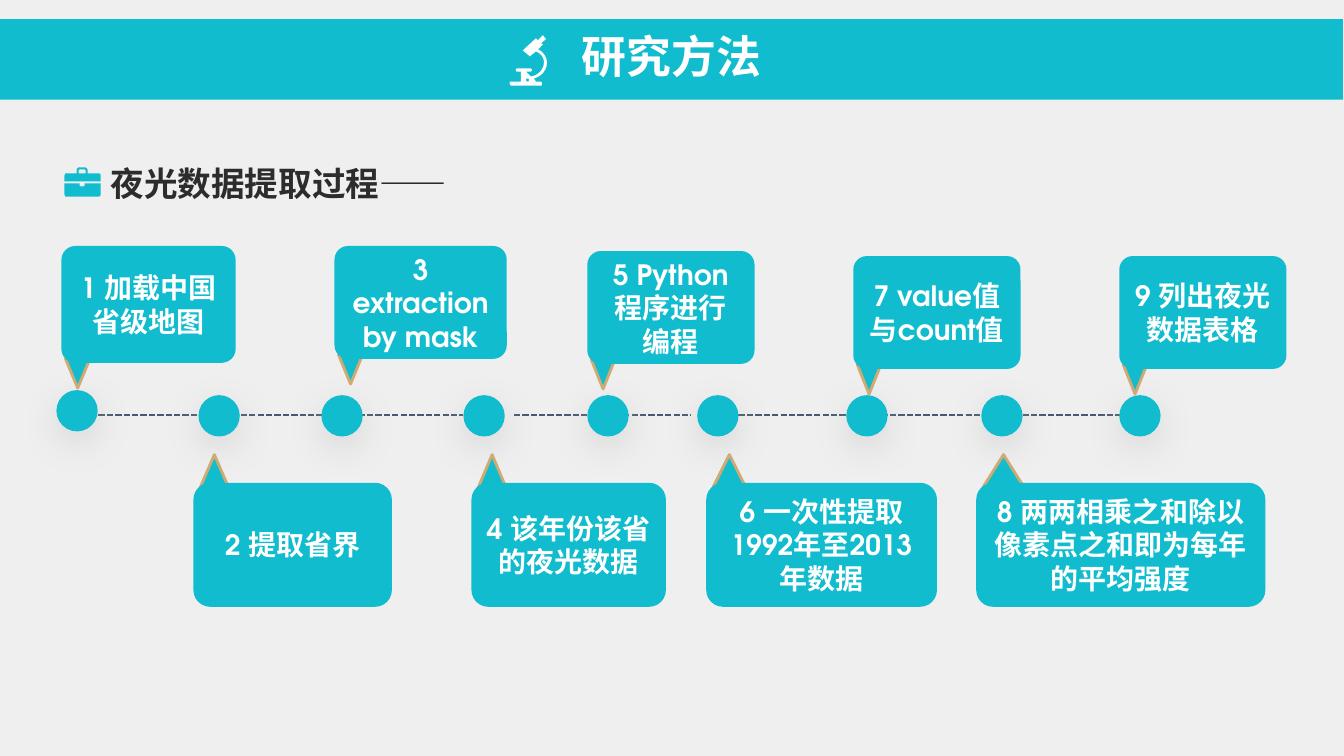
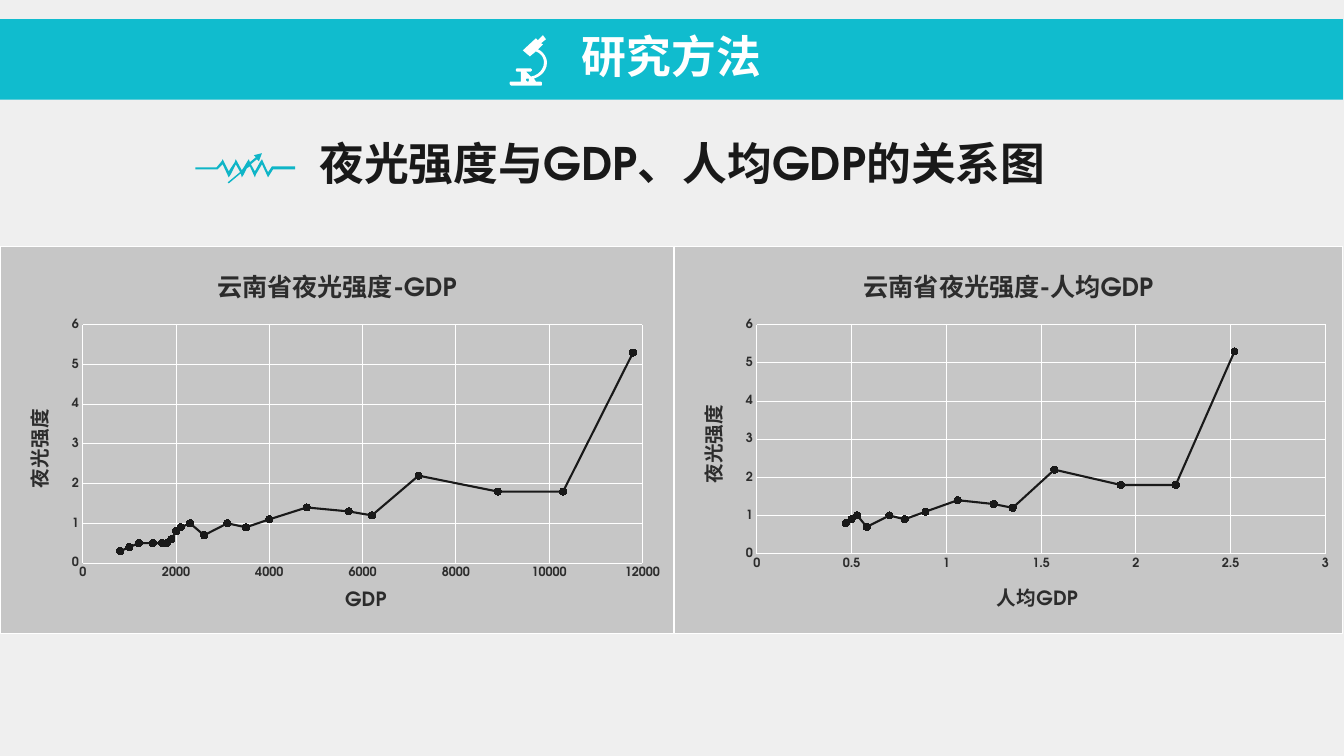
"""Build two research-method slides: an extraction timeline and two scatter charts."""
from dataclasses import dataclass

from pptx import Presentation
from pptx.chart.data import XyChartData
from pptx.dml.color import RGBColor as Rgb
from pptx.enum.chart import XL_CHART_TYPE as ChartType
from pptx.enum.chart import XL_MARKER_STYLE as Marker
from pptx.enum.chart import XL_TICK_MARK as TickMark
from pptx.enum.dml import MSO_LINE as Dash
from pptx.enum.lang import MSO_LANGUAGE_ID as Language
from pptx.enum.shapes import MSO_CONNECTOR as Connector
from pptx.enum.shapes import MSO_SHAPE as Shape
from pptx.enum.text import MSO_ANCHOR as Anchor
from pptx.enum.text import MSO_AUTO_SIZE as AutoSize
from pptx.enum.text import PP_ALIGN as Align
from pptx.oxml import parse_xml
from pptx.oxml.ns import nsdecls, qn
from pptx.util import Inches, Pt


@dataclass(frozen=True)
class Theme:
    """Colours, font and type sizes used by both slides."""

    font: str = "TeX Gyre Adventor"
    ground: str = "EFEFEF"
    accent: str = "10BCCE"
    wave: str = "0FB5C7"
    tip: str = "D1AA73"
    dash: str = "495A70"
    shade: str = "C0C0C0"
    panel: str = "C6C6C6"
    white: str = "FFFFFF"
    ink: str = "2C2C2C"
    black: str = "191919"
    title: int = 32
    heading: int = 24
    callout: int = 20
    chart_title: int = 18
    axis_title: int = 14
    chart: int = 10
    tick: int = 9


THEME = Theme()

MICROSCOPE = [
    [(5.22, 0.79), (5.22, 0.8, 5.23, 0.81, 5.24, 0.81), (5.25, 0.81, 5.25, 0.8, 5.25, 0.79),
     (5.25, 0.78, 5.25, 0.78, 5.24, 0.78), (5.23, 0.78, 5.22, 0.78, 5.22, 0.79)],
    [(5.22, 0.71), (5.27, 0.76), (5.34, 0.75, 5.4, 0.69, 5.4, 0.62),
     (5.4, 0.57, 5.37, 0.53, 5.32, 0.51), (5.26, 0.56), (5.19, 0.5), (5.32, 0.38),
     (5.34, 0.4), (5.39, 0.35), (5.42, 0.39), (5.37, 0.43), (5.39, 0.44), (5.34, 0.49),
     (5.39, 0.51, 5.43, 0.57, 5.43, 0.62), (5.43, 0.7, 5.37, 0.76, 5.3, 0.78),
     (5.32, 0.81), (5.37, 0.81), (5.38, 0.82), (5.38, 0.83),
     (5.38, 0.84, 5.38, 0.85, 5.37, 0.85), (5.08, 0.85),
     (5.07, 0.85, 5.06, 0.84, 5.06, 0.83), (5.06, 0.82),
     (5.06, 0.81, 5.07, 0.81, 5.08, 0.81), (5.17, 0.81), (5.17, 0.71), (5.13, 0.71),
     (5.12, 0.7), (5.12, 0.69), (5.13, 0.68), (5.27, 0.68), (5.28, 0.69), (5.28, 0.7),
     (5.27, 0.71)],
]
BRIEFCASE = [
    [(1, 1.82), (1, 1.93), (1, 1.94, 0.99, 1.95, 0.98, 1.95), (0.65, 1.95),
     (0.64, 1.93), (0.64, 1.82), (0.79, 1.82), (0.79, 1.84),
     (0.79, 1.85, 0.8, 1.85, 0.81, 1.85), (0.83, 1.85), (0.84, 1.84), (0.84, 1.82)],
    [(0.78, 1.72), (0.85, 1.72), (0.85, 1.69), (0.84, 1.68), (0.79, 1.68), (0.78, 1.69)],
    [(0.65, 1.72), (0.76, 1.72), (0.76, 1.69), (0.76, 1.68, 0.77, 1.66, 0.79, 1.66),
     (0.84, 1.66), (0.86, 1.66, 0.87, 1.68, 0.87, 1.69), (0.87, 1.72), (0.98, 1.72),
     (0.99, 1.72, 1, 1.73, 1, 1.74), (1, 1.8), (0.64, 1.8), (0.64, 1.74)],
]
ZIGZAG = [
    [(2.6, 1.52), (2.57, 1.6), (2.55, 1.58), (2.49, 1.63), (2.53, 1.7), (2.58, 1.61),
     (2.6, 1.58), (2.66, 1.71), (2.7, 1.65), (2.93, 1.65), (2.93, 1.68), (2.71, 1.68),
     (2.66, 1.76), (2.6, 1.63), (2.54, 1.73), (2.53, 1.76), (2.48, 1.65), (2.45, 1.67),
     (2.42, 1.73), (2.4, 1.76), (2.39, 1.72), (2.27, 1.82), (2.26, 1.81), (2.38, 1.71),
     (2.38, 1.7), (2.34, 1.63), (2.29, 1.73), (2.27, 1.76), (2.21, 1.63), (2.16, 1.68),
     (1.94, 1.68), (1.94, 1.66), (2.15, 1.66), (2.2, 1.6), (2.21, 1.58), (2.27, 1.7),
     (2.33, 1.61), (2.34, 1.58), (2.4, 1.69), (2.42, 1.66), (2.45, 1.61), (2.47, 1.58),
     (2.48, 1.61), (2.54, 1.56), (2.52, 1.54)],
]

UPPER_STEPS = [
    ("1 加载中国省级地图", 0.61, 2.44, 1.73, 1.16),
    ("3 extraction by mask", 3.32, 2.44, 1.71, 1.12),
    ("5 Python程序进行编程", 5.83, 2.49, 1.66, 1.12),
    ("7 value值与count值", 8.47, 2.54, 1.66, 1.12),
    ("9 列出夜光数据表格", 11.11, 2.54, 1.66, 1.12),
]
LOWER_STEPS = [
    ("2 提取省界", 1.92, 1.97),
    ("4 该年份该省的夜光数据", 4.68, 1.93),
    ("6 一次性提取1992年至2013年数据", 7.01, 2.29),
    ("8 两两相乘之和除以像素点之和即为每年的平均强度", 9.69, 2.87),
]
DOT_LEFTS = [1.97, 3.19, 4.6, 5.83, 6.92, 8.4, 9.74, 11.11]
DASH_SPANS = [(0.81, 1.97), (2.39, 4.6), (5.1, 6.86), (7.33, 9.74), (10.15, 11.36)]

INTENSITY = [0.3, 0.4, 0.5, 0.5, 0.5, 0.5, 0.6, 0.8, 0.9, 1, 0.7, 1, 0.9, 1.1,
             1.4, 1.3, 1.2, 2.2, 1.8, 1.8, 5.3]
GDP = [800, 1000, 1200, 1500, 1700, 1800, 1900, 2000, 2100, 2300, 2600, 3100, 3500,
       4000, 4800, 5700, 6200, 7200, 8900, 10300, 11800]
GDP_PER_HEAD = [0.47, 0.5, 0.53, 0.58, 0.7, 0.78, 0.89, 1.06, 1.25, 1.35, 1.57,
                1.92, 2.21, 2.52]


def rgb(value):
    """Turn a hex string into a colour."""
    return Rgb.from_string(value)


def paint(shape, fill, line=None, width=2):
    """Give a shape a flat fill and an optional outline, without shadow."""
    shape.shadow.inherit = False
    shape.fill.solid()
    shape.fill.fore_color.rgb = rgb(fill)
    if line:
        style_line(shape.line, line, width)
    else:
        shape.line.fill.background()


def style_line(line, color, width):
    """Set the colour and width of a line."""
    line.color.rgb = rgb(color)
    line.width = Pt(width)


def style_font(font, size, color, bold=True):
    """Set face, size, colour and weight of a font."""
    font.name = THEME.font
    font.size = Pt(size)
    font.bold = bold
    font.color.rgb = rgb(color)


def add_span(para, text, size, color):
    """Add one styled run to a paragraph."""
    span = para.add_run()
    span.text = text
    style_font(span.font, size, color)
    span.font.language_id = Language.SIMPLIFIED_CHINESE


def add_block(page, kind, at, fill, line=None):
    """Add a preset shape at left, top, width, height."""
    block = page.shapes.add_shape(kind, *map(Inches, at))
    paint(block, fill, line)
    return block


def add_label(block, text, size):
    """Write centred white text into a shape."""
    frame = block.text_frame
    frame.word_wrap = True
    frame.vertical_anchor = Anchor.MIDDLE
    para = frame.paragraphs[0]
    para.alignment = Align.CENTER
    add_span(para, text, size, THEME.white)
    return para


def add_heading(page, at, text, size, color):
    """Add a wrapping text box that grows with its text."""
    box = page.shapes.add_textbox(*map(Inches, at))
    box.text_frame.word_wrap = True
    box.text_frame.auto_size = AutoSize.SHAPE_TO_FIT_TEXT
    add_span(box.text_frame.paragraphs[0], text, size, color)


def flatten(contour, steps=6):
    """Turn a contour of line ends and Bezier triples into points in EMU."""
    points = [contour[0]]
    for piece in contour[1:]:
        if len(piece) == 2:
            points.append(piece)
            continue
        knots = [points[-1], piece[:2], piece[2:4], piece[4:]]
        for step in range(1, steps + 1):
            t = step / steps
            weights = ((1 - t) ** 3, 3 * t * (1 - t) ** 2, 3 * t * t * (1 - t), t ** 3)
            points.append(tuple(sum(w * knot[axis] for w, knot in zip(weights, knots))
                                for axis in (0, 1)))
    return [(Inches(x), Inches(y)) for x, y in points]


def add_icon(page, contours, fill):
    """Draw closed contours as one freeform."""
    outlines = [flatten(contour) for contour in contours]
    builder = page.shapes.build_freeform(*outlines[0][0])
    for index, outline in enumerate(outlines):
        if index:
            builder.move_to(*outline[0])
        builder.add_line_segments(outline[1:], close=True)
    paint(builder.convert_to_shape(), fill)


def add_callout(page, text, at, above):
    """Add a rounded callout whose tip points at the timeline."""
    left, top, width, height = at
    tip_width = 0.14 * width
    if above:
        tip_at = (left + 0.04, top + height - 0.04, tip_width, 0.29)
    else:
        tip_at = (left + 0.07, top - 0.28, tip_width, 0.32)
    tip = add_block(page, Shape.ISOSCELES_TRIANGLE, tip_at, THEME.accent, THEME.tip)
    tip.rotation = 180 if above else 0
    box = add_block(page, Shape.ROUNDED_RECTANGLE, at, THEME.accent)
    box.adjustments[0] = 0.12 if above else 0.135
    add_label(box, text, THEME.callout)


def add_dot(page, left, top):
    """Add a timeline dot with a soft shadow."""
    dot = add_block(page, Shape.OVAL, (left, top, 0.41, 0.41), THEME.accent)
    dot.element.spPr.find(qn("a:effectLst")).append(parse_xml(
        f'<a:outerShdw {nsdecls("a")} blurRad="{Pt(24)}" dist="{Pt(8)}" dir="5400000">'
        f'<a:srgbClr val="{THEME.shade}"><a:alpha val="46000"/></a:srgbClr></a:outerShdw>'))


def add_dashes(page, start, end, y):
    """Add a dashed horizontal connector."""
    dashes = page.shapes.add_connector(
        Connector.STRAIGHT, Inches(start), Inches(y), Inches(end), Inches(y))
    style_line(dashes.line, THEME.dash, 1.5)
    dashes.line.dash_style = Dash.SQUARE_DOT
    dashes.element.spPr.append(parse_xml(f'<a:effectLst {nsdecls("a")}/>'))


def style_axis(axis, title):
    """Give a chart axis its title, grid and tick labels."""
    add_span(axis.axis_title.text_frame.paragraphs[0], title, THEME.axis_title, THEME.ink)
    axis.has_major_gridlines = True
    style_line(axis.major_gridlines.format.line, THEME.white, 0.75)
    style_line(axis.format.line, THEME.white, 0.75)
    axis.major_tick_mark = axis.minor_tick_mark = TickMark.NONE
    style_font(axis.tick_labels.font, THEME.tick, THEME.ink)


def add_scatter(page, at, subject, xs, ys, maximum=None):
    """Add a line scatter chart of light intensity against a subject."""
    data = XyChartData()
    points = data.add_series("Series 1")
    for x, y in zip(xs, ys):
        points.add_data_point(x, y)
    chart = page.shapes.add_chart(
        ChartType.XY_SCATTER_LINES, *map(Inches, at), data).chart
    style_font(chart.font, THEME.chart, THEME.white, False)
    chart.has_legend = False
    add_span(chart.chart_title.text_frame.paragraphs[0], f"云南省夜光强度-{subject}",
             THEME.chart_title, THEME.ink)
    chart.chart_title.include_in_layout = False
    style_axis(chart.category_axis, subject)
    style_axis(chart.value_axis, "夜光强度")
    turned = chart.value_axis.axis_title.text_frame._txBody.find(qn("a:bodyPr"))
    turned.set("rot", "-5400000")
    turned.set("vert", "horz")
    if maximum:
        chart.category_axis.maximum_scale = maximum
    plot = chart.plots[0]
    plot.vary_by_categories = False
    series = plot.series[0]
    series.smooth = False
    style_line(series.format.line, THEME.black, 1.5)
    series.marker.style = Marker.CIRCLE
    series.marker.size = 5
    series.marker.format.fill.solid()
    series.marker.format.fill.fore_color.rgb = rgb(THEME.black)
    style_line(series.marker.format.line, THEME.black, 0.75)
    chart.element.find(qn("c:chart")).addnext(parse_xml(
        f'<c:spPr {nsdecls("c", "a")}><a:solidFill><a:srgbClr val="{THEME.panel}"/>'
        f'</a:solidFill><a:ln w="{Pt(0.75)}"><a:solidFill>'
        f'<a:srgbClr val="{THEME.white}"/></a:solidFill></a:ln></c:spPr>'))


def add_page(deck):
    """Add a blank slide with the shared title band."""
    page = deck.slides.add_slide(deck.slide_layouts[6])
    band = add_block(page, Shape.RECTANGLE, (0, 0.19, 13.33, 0.8), THEME.accent)
    add_label(band, "研究方法", THEME.title).line_spacing = 0.9
    add_icon(page, MICROSCOPE, THEME.white)
    return page


def build_timeline(page):
    """Show the nine extraction steps along a dashed line."""
    add_heading(page, (1, 1.57, 3.84, 0.5), "夜光数据提取过程——", THEME.heading, THEME.ink)
    add_icon(page, BRIEFCASE, THEME.accent)
    for start, end in DASH_SPANS:
        add_dashes(page, start, end, 4.12)
    for text, *at in UPPER_STEPS:
        add_callout(page, text, at, above=True)
    for text, left, width in LOWER_STEPS:
        add_callout(page, text, (left, 4.79, width, 1.23), above=False)
    add_dot(page, 0.56, 3.87)
    for left in DOT_LEFTS:
        add_dot(page, left, 3.92)


def build_relations(page):
    """Show light intensity against GDP and GDP per head."""
    add_heading(page, (3.07, 1.3, 7.71, 0.64), "夜光强度与GDP、人均GDP的关系图",
                THEME.title, THEME.black)
    add_icon(page, ZIGZAG, THEME.wave)
    add_scatter(page, (0, 2.44, 6.69, 3.85), "GDP", GDP, INTENSITY, 12000)
    add_scatter(page, (6.69, 2.44, 6.64, 3.85), "人均GDP", GDP_PER_HEAD,
                INTENSITY[-len(GDP_PER_HEAD):])


def main():
    """Build and save the deck."""
    deck = Presentation()
    deck.slide_width, deck.slide_height = Inches(13.34), Inches(7.5)
    ground = deck.slide_master.background.fill
    ground.solid()
    ground.fore_color.rgb = rgb(THEME.ground)
    build_timeline(add_page(deck))
    build_relations(add_page(deck))
    deck.save("out.pptx")


if __name__ == "__main__":
    main()
